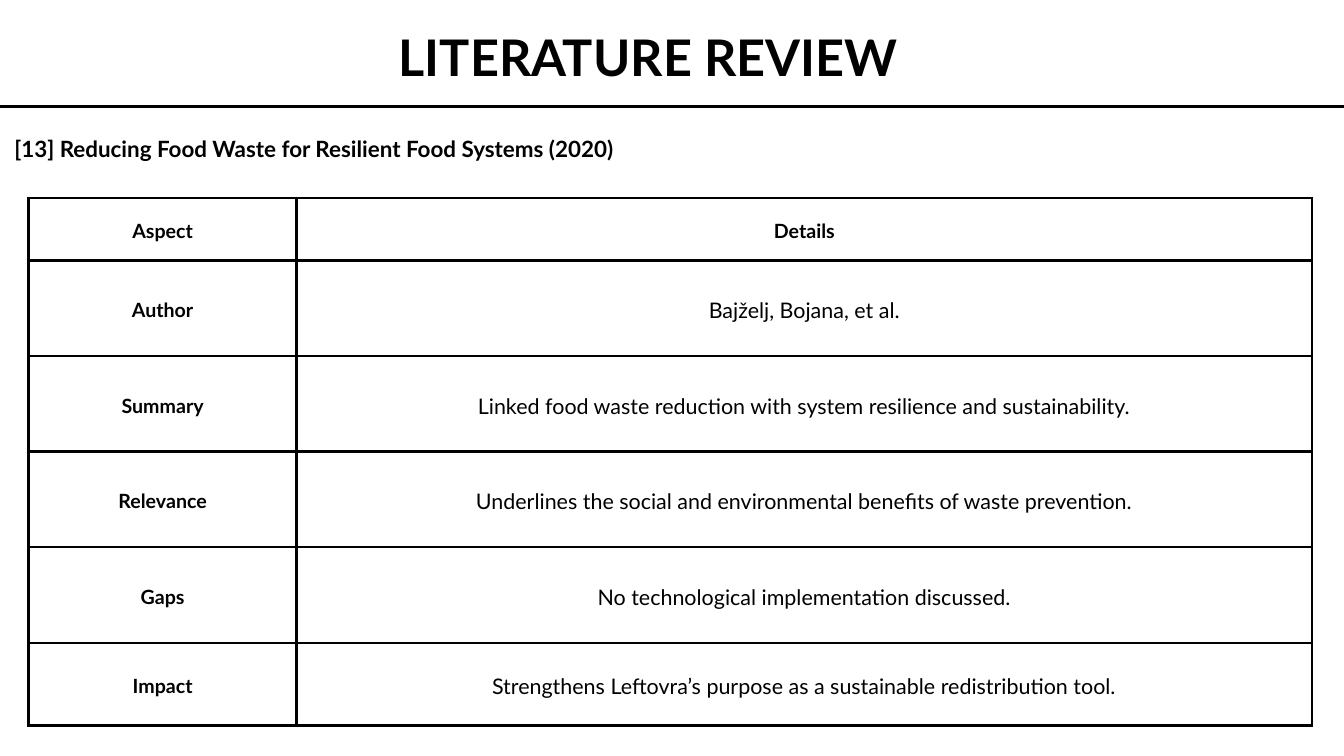
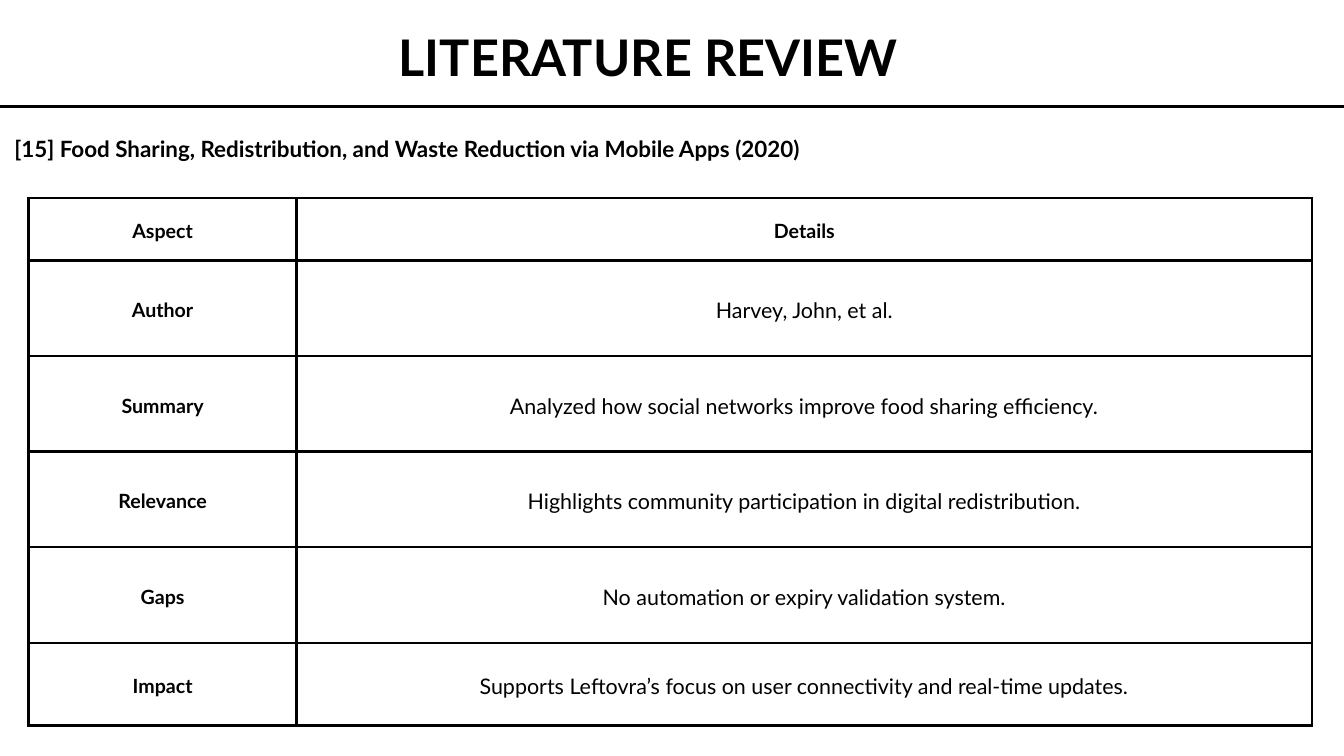
from lxml.etree import SubElement
from pptx import Presentation
from pptx.dml.color import RGBColor
from pptx.enum.shapes import MSO_CONNECTOR
from pptx.enum.text import MSO_ANCHOR, MSO_AUTO_SIZE, PP_ALIGN
from pptx.oxml.ns import qn
from pptx.util import Pt

# Shared style
FONT = "Lato"
BLACK, WHITE = "000000", "FFFFFF"
RULE_WIDTH = 3
LEADING = 1.4
SLIDE_W, SLIDE_H = 1440, 810

# Regions: left, top, width, height
TITLE_BOX = (414, 17.3, 561, 84)
PAPER_BOX = (15.3, 140.4, 1406, 38)
TABLE_BOX = (30.6, 212.4, 1375.2, 565)
RULE_Y, RULE_BLEED = 114.2, 42.5

# Table grid
ASPECT_W = 287.3
ROW_HEIGHTS = [66.5] + [102.5] * 4 + [88.5]
CELL_MARGIN = 15

ASPECTS = ["Author", "Summary", "Relevance", "Gaps", "Impact"]
PAPERS = [
    ("[13] Reducing Food Waste for Resilient Food Systems (2020)",
     ["Bajželj, Bojana, et al.",
      "Linked food waste reduction with system resilience and sustainability.",
      "Underlines the social and environmental benefits of waste prevention.",
      "No technological implementation discussed.",
      "Strengthens Leftovra’s purpose as a sustainable redistribution tool."]),
    ("[15] Food Sharing, Redistribution, and Waste Reduction via Mobile Apps (2020)",
     ["Harvey, John, et al.",
      "Analyzed how social networks improve food sharing efficiency.",
      "Highlights community participation in digital redistribution.",
      "No automation or expiry validation system.",
      "Supports Leftovra’s focus on user connectivity and real-time updates."]),
]


def color(hex_code):
    return RGBColor.from_string(hex_code)


def write(tf, text, size, bold=True, align=PP_ALIGN.CENTER, margin=0,
          anchor=MSO_ANCHOR.TOP):
    tf.word_wrap = True
    tf.vertical_anchor = anchor
    tf.margin_left = tf.margin_right = Pt(margin)
    tf.margin_top = tf.margin_bottom = Pt(margin)
    p = tf.paragraphs[0]
    p.alignment = align
    p.line_spacing = Pt(round(size * LEADING, 1))
    r = p.add_run()
    r.text = text
    r.font.name, r.font.size, r.font.bold = FONT, Pt(size), bold
    r.font.color.rgb = color(BLACK)


def add_title(s, box, text):
    title = s.shapes.title
    title.left, title.top, title.width, title.height = map(Pt, box)
    title.text_frame.auto_size = MSO_AUTO_SIZE.NONE
    write(title.text_frame, text, 54)


def add_rule(s, y):
    rule = s.shapes.add_connector(MSO_CONNECTOR.STRAIGHT, Pt(-RULE_BLEED), Pt(y),
                                  Pt(SLIDE_W + RULE_BLEED), Pt(y))
    rule.line.color.rgb = color(BLACK)
    rule.line.width = Pt(RULE_WIDTH)
    SubElement(rule.element.spPr, qn("a:effectLst"))


def add_paper_name(s, box, text):
    sp = s.shapes.add_textbox(*map(Pt, box))
    write(sp.text_frame, text, 24, align=PP_ALIGN.LEFT)


def add_borders(cell):
    tc_pr = cell._tc.get_or_add_tcPr()
    for i, side in enumerate(("lnL", "lnR", "lnT", "lnB")):
        ln = tc_pr.makeelement(qn(f"a:{side}"), {"w": str(Pt(RULE_WIDTH))})
        fill = SubElement(ln, qn("a:solidFill"))
        SubElement(fill, qn("a:srgbClr"), val=BLACK)
        tc_pr.insert(i, ln)  # borders precede the cell fill


def add_review_table(s, box, details):
    rows = [("Aspect", "Details"), *zip(ASPECTS, details)]
    table = s.shapes.add_table(len(rows), 2, *map(Pt, box)).table
    table.horz_banding = False
    table.columns[0].width = Pt(ASPECT_W)
    table.columns[1].width = Pt(box[2] - ASPECT_W)
    for i, row in enumerate(rows):
        table.rows[i].height = Pt(ROW_HEIGHTS[i])
        for j, text in enumerate(row):
            cell = table.cell(i, j)
            cell.fill.solid()
            cell.fill.fore_color.rgb = color(WHITE)
            add_borders(cell)
            heading = i == 0 or j == 0
            write(cell.text_frame, text, 21 if heading else 23, bold=heading)
            # Cells hold their own margins and anchor
            cell.margin_left = cell.margin_right = Pt(CELL_MARGIN)
            cell.margin_top = cell.margin_bottom = Pt(CELL_MARGIN)
            cell.vertical_anchor = MSO_ANCHOR.MIDDLE


def add_review_slide(prs, paper, details):
    s = prs.slides.add_slide(prs.slide_layouts.get_by_name("Title Only"))
    add_rule(s, RULE_Y)
    add_review_table(s, TABLE_BOX, details)
    add_title(s, TITLE_BOX, "LITERATURE REVIEW")
    add_paper_name(s, PAPER_BOX, paper)


def main():
    prs = Presentation()
    prs.slide_width, prs.slide_height = Pt(SLIDE_W), Pt(SLIDE_H)
    for paper, details in PAPERS:
        add_review_slide(prs, paper, details)
    prs.save("out.pptx")


if __name__ == "__main__":
    main()
